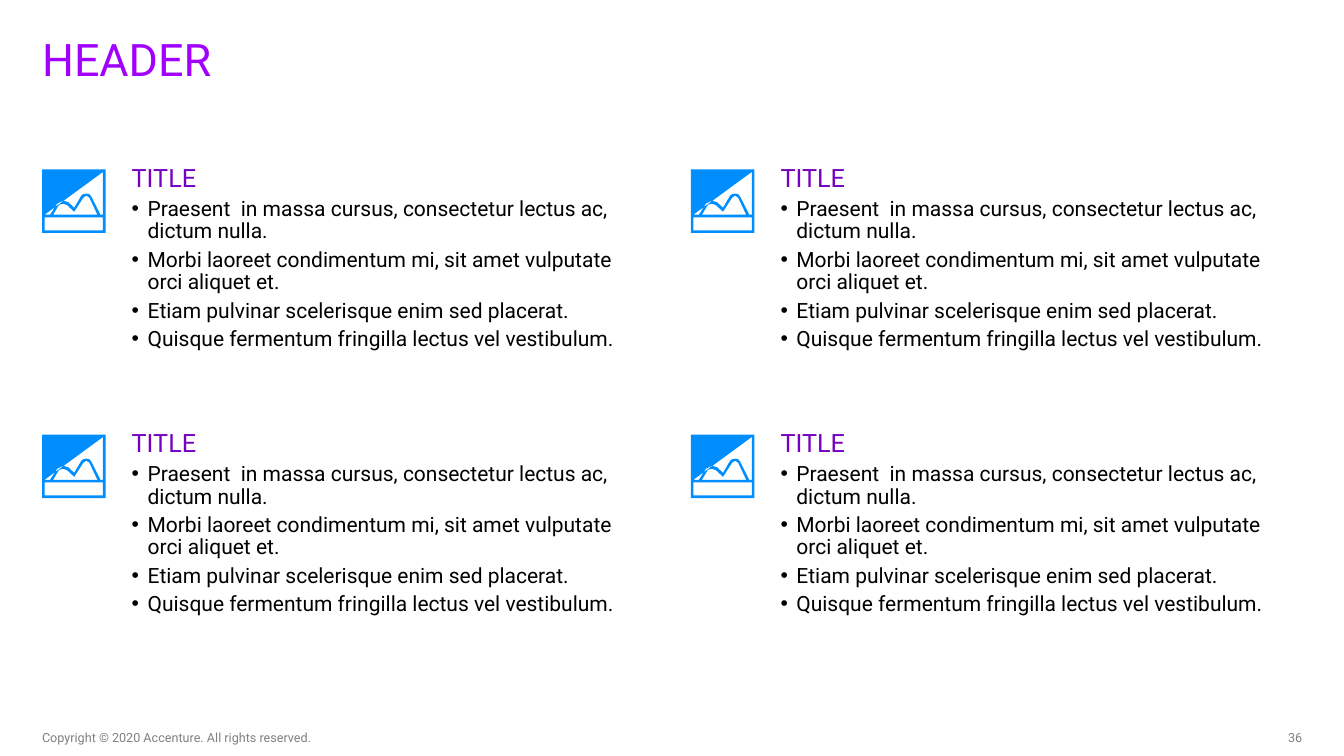
from itertools import product

from lxml.etree import SubElement
from pptx import Presentation
from pptx.dml.color import RGBColor
from pptx.enum.text import MSO_ANCHOR as Anchor, MSO_AUTO_SIZE as AutoSize, PP_ALIGN as Align
from pptx.oxml.ns import qn
from pptx.util import Cm, Pt

POINTS = [
    "Praesent  in massa cursus, consectetur lectus ac, dictum nulla.",
    "Morbi laoreet condimentum mi, sit amet vulputate orci aliquet et.",
    "Etiam pulvinar scelerisque enim sed placerat.",
    "Quisque fermentum fringilla lectus vel vestibulum.",
]

FRAME = [(0, 0), (63, 0), (63, 63), (0, 63)]
SKY = [(60.5, 2.5), (60.5, 45), (58, 45), (49, 27), (47, 24.5), (44, 24),
       (41, 24.5), (39, 26), (32, 38), (26, 32.5), (21, 31), (15, 34),
       (8, 45), (2.5, 45)]
HILLS = [(32, 42), (41, 28), (44, 26), (47, 28), (55, 45), (11, 45),
         (17, 35), (21, 34), (25, 35.5)]
GROUND = [(2.5, 47.5), (60.5, 47.5), (60.5, 60.5), (2.5, 60.5)]
CLOUD = [(17, 24), (24, 24), (29.5, 22), (32, 16), (29.5, 10), (24, 8),
         (20, 9.5), (17, 13), (12.5, 14.5), (11, 18), (13, 22.5)]
CLOUD_INSIDE = [(17, 16), (19, 15), (21, 11.5), (24, 10.5), (28, 12), (29.5, 16),
                (28, 20), (24, 21.5), (17, 21.5), (14.5, 20.5), (13.5, 18)]


def color(value):
    return RGBColor.from_string(value)


def write(paragraph, text, size, fill, font="Roboto", spacing=1.0, before=0,
          align=Align.LEFT, bullet=None, indent=0):
    paragraph.alignment = align
    paragraph.line_spacing = spacing
    paragraph.space_before = Pt(before)
    properties = paragraph._p.get_or_add_pPr()
    properties.set("marL", str(Cm(indent)))
    properties.set("indent", str(-Cm(indent)))
    if bullet:
        SubElement(properties, qn("a:buFont")).set("typeface", "Arial")
        SubElement(properties, qn("a:buChar")).set("char", bullet)
    else:
        SubElement(properties, qn("a:buNone"))
    run = paragraph.add_run()
    run.text = text
    run.font.name = font
    run.font.size = Pt(size)
    run.font.bold = False
    run.font.color.rgb = color(fill)


class HeaderSlide:
    purple, violet, blue, black, grey = "A100FF", "7500C0", "008EFF", "000000", "808080"
    icon_steps = 10
    icon_unit = Cm(2.54) / 100 / icon_steps

    def __init__(self, deck, layout):
        self.slide = deck.slides.add_slide(deck.slide_layouts[layout])

    def place(self, shape, box, insets=(0, 0, 0, 0), anchor=Anchor.TOP):
        shape.left, shape.top, shape.width, shape.height = map(Cm, box)
        frame = shape.text_frame
        frame.word_wrap = True
        frame.auto_size = AutoSize.NONE
        frame.vertical_anchor = anchor
        (frame.margin_left, frame.margin_top,
         frame.margin_right, frame.margin_bottom) = map(Cm, insets)
        return frame

    def title(self, text):
        frame = self.place(self.slide.shapes.title, (1.06, 1.06, 31.75, 2.5))
        write(frame.paragraphs[0], text, 32, self.purple, spacing=0.8)

    def topic(self, placeholder, heading, points, left, top):
        frame = self.place(placeholder, (left, top, 13.13, 5.54), (0, 0.3, 0.2, 0))
        write(frame.paragraphs[0], heading, 18, self.violet, spacing=0.8)
        for point in points:
            write(frame.add_paragraph(), point, 15, self.black, spacing=0.9,
                  before=4, bullet="•", indent=0.4)

    def outline(self, contours, left, top):
        first, *others = [[(x * self.icon_steps, y * self.icon_steps) for x, y in contour]
                          for contour in contours]
        builder = self.slide.shapes.build_freeform(*first[0], scale=self.icon_unit)
        builder.add_line_segments(first[1:], close=True)
        for points in others:
            builder.move_to(*points[0])
            builder.add_line_segments(points[1:], close=True)
        shape = builder.convert_to_shape(Cm(left), Cm(top))
        shape.shadow.inherit = False
        shape.fill.solid()
        shape.fill.fore_color.rgb = color(self.blue)
        shape.line.fill.background()

    def icon(self, left, top):
        self.outline([FRAME, SKY, HILLS, GROUND], left, top)
        self.outline([CLOUD, CLOUD_INSIDE], left, top)

    def footer(self, text, left, width, align=Align.LEFT):
        box = (left, 18.39, width, 0.38)
        frame = self.place(self.slide.shapes.add_textbox(*map(Cm, box)), box,
                           anchor=Anchor.BOTTOM)
        write(frame.paragraphs[0], text, 9, self.grey, align=align)


def main():
    deck = Presentation()
    deck.slide_width, deck.slide_height = Cm(33.87), Cm(19.05)
    page = HeaderSlide(deck, layout=4)
    page.title("HEADER")
    topics = [item for item in page.slide.placeholders if item.placeholder_format.idx]
    for placeholder, (row, column) in zip(topics, product(range(2), repeat=2)):
        across, down = column * 16.35, row * 6.68
        page.icon(1.06 + across, 4.27 + down)
        page.topic(placeholder, "TITLE", POINTS, 3.32 + across, 3.94 + down)
    page.footer("Copyright © 2020 Accenture. All rights reserved.", 1.06, 7.57)
    page.footer("36", 31.09, 1.73, Align.RIGHT)
    deck.save("out.pptx")


if __name__ == "__main__":
    main()
